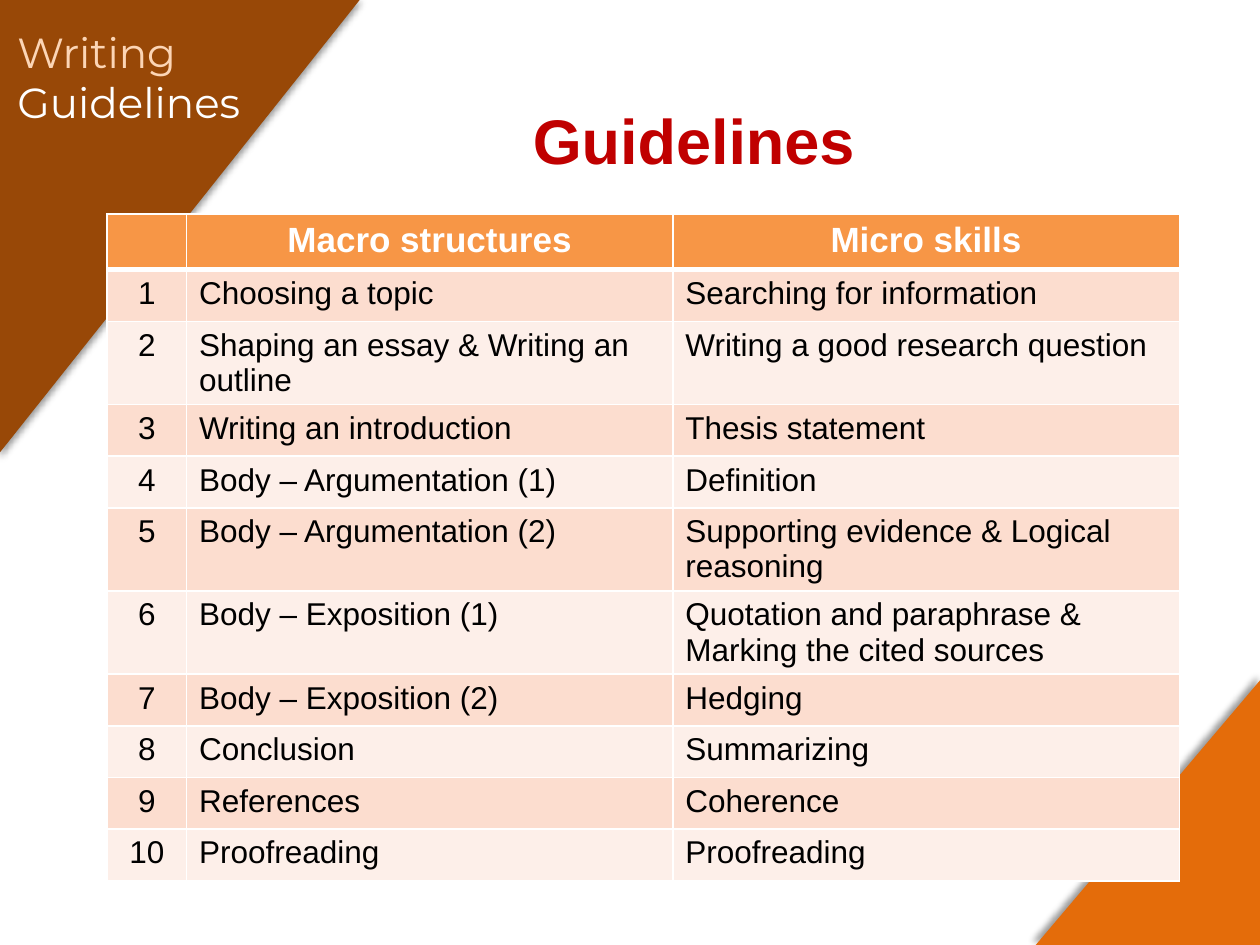
from dataclasses import dataclass
from typing import Optional

from lxml import etree
from pptx import Presentation
from pptx.dml.color import RGBColor
from pptx.enum import shapes, text
from pptx.oxml import ns
from pptx.util import Inches, Pt


@dataclass(frozen=True)
class Theme:
    brown: str = "984807"
    orange: str = "E46C0A"
    header: str = "F79646"
    bands: tuple = ("FCDDCF", "FDEFE9")
    red: str = "C00000"
    peach: str = "FCD5B5"
    white: str = "FFFFFF"
    black: str = "000000"
    body_font: str = "Arial"
    label_font: str = "Montserrat"
    title_size: int = 36
    label_size: int = 24
    header_size: int = 20
    body_size: int = 18


@dataclass(frozen=True)
class Corner:
    left: float
    top: float
    width: float
    height: float
    rotation: int
    color: str
    shadow_angle: int


THEME = Theme()

CORNERS = [
    Corner(-0.37, 0.35, 3.61, 2.87, 90, THEME.brown, 90),
    Corner(8.06, 5.56, 2.1, 1.78, 270, THEME.orange, 225),
]

COLUMN_WIDTHS = (0.63, 3.86, 4.02)
ROW_HEIGHT = 0.41
HEADINGS = ("", "Macro structures", "Micro skills")
LESSONS = [
    ("Choosing a topic", "Searching for information"),
    ("Shaping an essay & Writing an outline", "Writing a good research question"),
    ("Writing an introduction", "Thesis statement"),
    ("Body – Argumentation (1)", "Definition"),
    ("Body – Argumentation (2)", "Supporting evidence & Logical reasoning"),
    ("Body – Exposition (1)", "Quotation and paraphrase & Marking the cited sources"),
    ("Body – Exposition (2)", "Hedging"),
    ("Conclusion", "Summarizing"),
    ("References", "Coherence"),
    ("Proofreading", "Proofreading"),
]


def write(paragraph, content: str, *, size: int, color: str, font: str = THEME.body_font,
          bold: bool = False, align: Optional[text.PP_ALIGN] = None) -> None:
    """Put formatted text in a paragraph."""
    paragraph.alignment = align
    paragraph.font.size = Pt(size)
    if not content:
        return
    run = paragraph.add_run()
    run.text = content
    run.font.name = font
    run.font.size = Pt(size)
    run.font.bold = bold
    run.font.color.rgb = RGBColor.from_string(color)


def add_color(parent, color: str):
    return etree.SubElement(parent, ns.qn("a:srgbClr"), val=color)


def draw_corner(slide, corner: Corner) -> None:
    shape = slide.shapes.add_shape(
        shapes.MSO_SHAPE.RIGHT_TRIANGLE, Inches(corner.left), Inches(corner.top),
        Inches(corner.width), Inches(corner.height))
    shape.rotation = corner.rotation
    shape.fill.solid()
    shape.fill.fore_color.rgb = RGBColor.from_string(corner.color)
    shape.line.fill.background()
    shape.shadow.inherit = False
    effects = shape.element.spPr.find(ns.qn("a:effectLst"))
    shadow = etree.SubElement(
        effects, ns.qn("a:outerShdw"), blurRad=str(Pt(4)), dist=str(Pt(3)),
        dir=str(corner.shadow_angle * 60000), rotWithShape="0")
    etree.SubElement(add_color(shadow, THEME.black), ns.qn("a:alpha"), val="40000")


def style_cell(cell, fill: str, top: int = 1, bottom: int = 1) -> None:
    """Give a cell white borders and a plain fill."""
    properties = cell._tc.get_or_add_tcPr()
    for side, width in (("L", 1), ("R", 1), ("T", top), ("B", bottom)):
        border = etree.SubElement(properties, ns.qn(f"a:ln{side}"), w=str(Pt(width)))
        add_color(etree.SubElement(border, ns.qn("a:solidFill")), THEME.white)
    cell.fill.solid()
    cell.fill.fore_color.rgb = RGBColor.from_string(fill)


def draw_table(slide) -> None:
    rows = [HEADINGS] + [(str(n), *lesson) for n, lesson in enumerate(LESSONS, 1)]
    table = slide.shapes.add_table(
        len(rows), len(HEADINGS), Inches(0.85), Inches(1.7),
        Inches(sum(COLUMN_WIDTHS)), Inches(ROW_HEIGHT * len(rows))).table
    for column, width in zip(table.columns, COLUMN_WIDTHS):
        column.width = Inches(width)
    for r, row in enumerate(rows):
        table.rows[r].height = Inches(ROW_HEIGHT)
        for c, content in enumerate(row):
            cell = table.cell(r, c)
            paragraph = cell.text_frame.paragraphs[0]
            if r == 0:
                style_cell(cell, THEME.header, bottom=3)
                write(paragraph, content, size=THEME.header_size, color=THEME.white,
                      bold=True, align=text.PP_ALIGN.CENTER)
            else:
                style_cell(cell, THEME.bands[(r - 1) % 2], top=3 if r == 1 else 1)
                write(paragraph, content, size=THEME.body_size, color=THEME.black,
                      align=text.PP_ALIGN.CENTER if c == 0 else None)


def draw_title(slide) -> None:
    box = slide.shapes.add_textbox(Inches(4.13), Inches(0.76), Inches(2.78), Inches(0.71))
    box.text_frame.word_wrap = False
    box.text_frame.auto_size = text.MSO_AUTO_SIZE.SHAPE_TO_FIT_TEXT
    write(box.text_frame.paragraphs[0], "Guidelines", size=THEME.title_size,
          color=THEME.red, bold=True)


def draw_label(slide) -> None:
    box = slide.shapes.add_textbox(Inches(0.04), Inches(-0.19), Inches(2.22), Inches(1.6))
    frame = box.text_frame
    frame.word_wrap = True
    frame.vertical_anchor = text.MSO_ANCHOR.MIDDLE
    frame.add_paragraph()
    lines = (("Writing", THEME.peach), ("Guidelines", THEME.white))
    for paragraph, (content, color) in zip(frame.paragraphs, lines):
        write(paragraph, content, size=THEME.label_size, color=color, font=THEME.label_font)


def main() -> None:
    presentation = Presentation()
    presentation.slide_width = Inches(10)
    presentation.slide_height = Inches(7.5)
    slide = presentation.slides.add_slide(presentation.slide_layouts[6])

    # Corner triangles
    for corner in CORNERS:
        draw_corner(slide, corner)

    # Course outline
    draw_table(slide)

    # Headings
    draw_title(slide)
    draw_label(slide)

    presentation.save("out.pptx")


if __name__ == "__main__":
    main()
